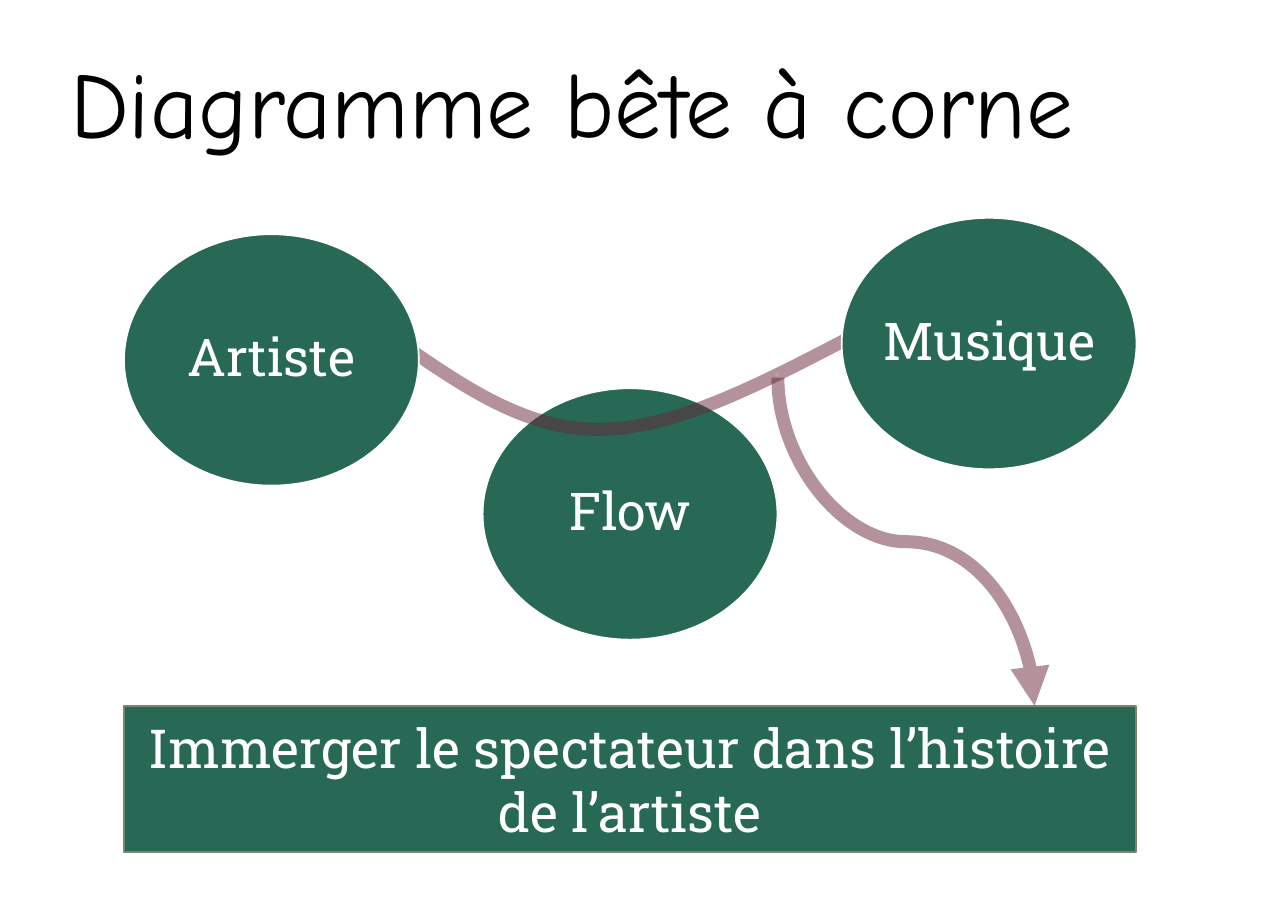
import lxml.etree
import pptx
import pptx.dml.color
import pptx.enum.shapes
import pptx.enum.text
import pptx.oxml.ns
import pptx.util

Cm = pptx.util.Cm
RGBColor = pptx.dml.color.RGBColor
GREEN = RGBColor(0x27, 0x69, 0x55)
OLIVE = RGBColor(0x7A, 0x86, 0x6C)
SAGE = RGBColor(0xA1, 0xB2, 0x8E)
PLUM = RGBColor(0x69, 0x27, 0x3B)
WHITE = RGBColor(0xFF, 0xFF, 0xFF)
BLACK = RGBColor(0x00, 0x00, 0x00)

BUBBLE_SIZE = (12.78, 10.9)
HORN_START = (17.48, 14.96)
HORN_CURVES = [
    [(20.17, 16.81), (22.86, 18.67), (26.06, 18.62)],
    [(29.26, 18.59), (32.97, 16.66), (36.68, 14.73)],
]


def add_xml(parent, tag, **attributes):
    return lxml.etree.SubElement(parent, pptx.oxml.ns.qn(tag), attributes)


class HornedBeastSlide:
    title_font = "Comic Neue"
    label_font = "Roboto Slab"
    shapes = pptx.enum.shapes.MSO_SHAPE

    def __init__(self, presentation):
        self.slide = presentation.slides.add_slide(presentation.slide_layouts[6])

    def set_text(self, shape, text, size, font_name, color, align, wrap=True):
        frame = shape.text_frame
        frame.text = text
        frame.word_wrap = wrap
        frame.vertical_anchor = pptx.enum.text.MSO_ANCHOR.MIDDLE
        paragraph = frame.paragraphs[0]
        paragraph.alignment = align
        font = paragraph.runs[0].font
        font.name = font_name
        font.size = pptx.util.Pt(size)
        font.color.rgb = color
        return paragraph

    def stroke(self, shape, color, width, opacity=100):
        shape.line.color.rgb = color
        shape.line.width = pptx.util.Pt(width)
        if opacity < 100:
            color_element = shape.line._get_or_add_ln().find(".//" + pptx.oxml.ns.qn("a:srgbClr"))
            add_xml(color_element, "a:alpha", val=str(opacity * 1000))

    def title(self, text, left, top, width, height):
        box = self.slide.shapes.add_textbox(Cm(left), Cm(top), Cm(width), Cm(height))
        self.set_text(box, text, 115, self.title_font, BLACK, pptx.enum.text.PP_ALIGN.LEFT)

    def panel(self, kind, text, left, top, width, height, border, size, wrap):
        shape = self.slide.shapes.add_shape(kind, Cm(left), Cm(top), Cm(width), Cm(height))
        shape.shadow.inherit = False
        shape.fill.solid()
        shape.fill.fore_color.rgb = GREEN
        self.stroke(shape, border, 2)
        return self.set_text(shape, text, size, self.label_font, WHITE,
                             pptx.enum.text.PP_ALIGN.CENTER, wrap)

    def bubble(self, text, left, top):
        paragraph = self.panel(self.shapes.OVAL, text, left, top, *BUBBLE_SIZE, WHITE, 64, False)
        paragraph.line_spacing = 0.9

    def goal(self, text, left, top, width, height):
        self.panel(self.shapes.RECTANGLE, text, left, top, width, height, OLIVE, 66, True)

    def horn(self, start, curves):
        builder = self.slide.shapes.build_freeform(Cm(start[0]), Cm(start[1]))
        points = [(Cm(x), Cm(y)) for curve in curves for x, y in curve]
        builder.add_line_segments(points, close=False)
        shape = builder.convert_to_shape()
        outline = shape._element.find(".//" + pptx.oxml.ns.qn("a:path"))
        segments = outline.findall(pptx.oxml.ns.qn("a:lnTo"))
        for first in range(0, len(segments), 3):
            bezier = add_xml(outline, "a:cubicBezTo")
            for segment in segments[first:first + 3]:
                bezier.append(segment[0])
                outline.remove(segment)
        shape.shadow.inherit = False
        shape.fill.background()
        self.stroke(shape, PLUM, 16, 50)

    def arrow(self, start, end, color, width, opacity=100, vertical=False):
        if vertical:
            center_x, center_y = (start[0] + end[0]) / 2, (start[1] + end[1]) / 2
            half_x, half_y = (end[0] - start[0]) / 2, (end[1] - start[1]) / 2
            start = (center_x + half_y, center_y - half_x)
            end = (center_x - half_y, center_y + half_x)
        connector = self.slide.shapes.add_connector(
            pptx.enum.shapes.MSO_CONNECTOR.CURVE, *(Cm(value) for value in (*start, *end)))
        properties = connector._element.spPr
        if vertical:
            properties.find(pptx.oxml.ns.qn("a:xfrm")).set("rot", str(270 * 60000))
        self.stroke(connector, color, width, opacity)
        add_xml(connector.line._get_or_add_ln(), "a:tailEnd", type="triangle")
        add_xml(properties, "a:effectLst")


def main():
    presentation = pptx.Presentation()
    presentation.slide_width = Cm(55.85)
    presentation.slide_height = Cm(40.03)
    diagram = HornedBeastSlide(presentation)
    diagram.title("Diagramme bête à corne", 2.79, 1.83, 50.27, 5.08)
    diagram.bubble("Flow", 20.93, 16.84)
    diagram.goal("Immerger le spectateur dans l’histoire de l’artiste", 5.38, 30.61, 43.89, 6.35)
    diagram.horn(HORN_START, HORN_CURVES)
    diagram.bubble("Artiste", 5.38, 10.16)
    diagram.bubble("Musique", 36.5, 9.45)
    diagram.arrow((33.73, 16.21), (33.58, 16.31), SAGE, 0.75)
    diagram.arrow((33.73, 16.38), (44.86, 30.61), PLUM, 16, 49, vertical=True)
    presentation.save("out.pptx")


if __name__ == "__main__":
    main()
